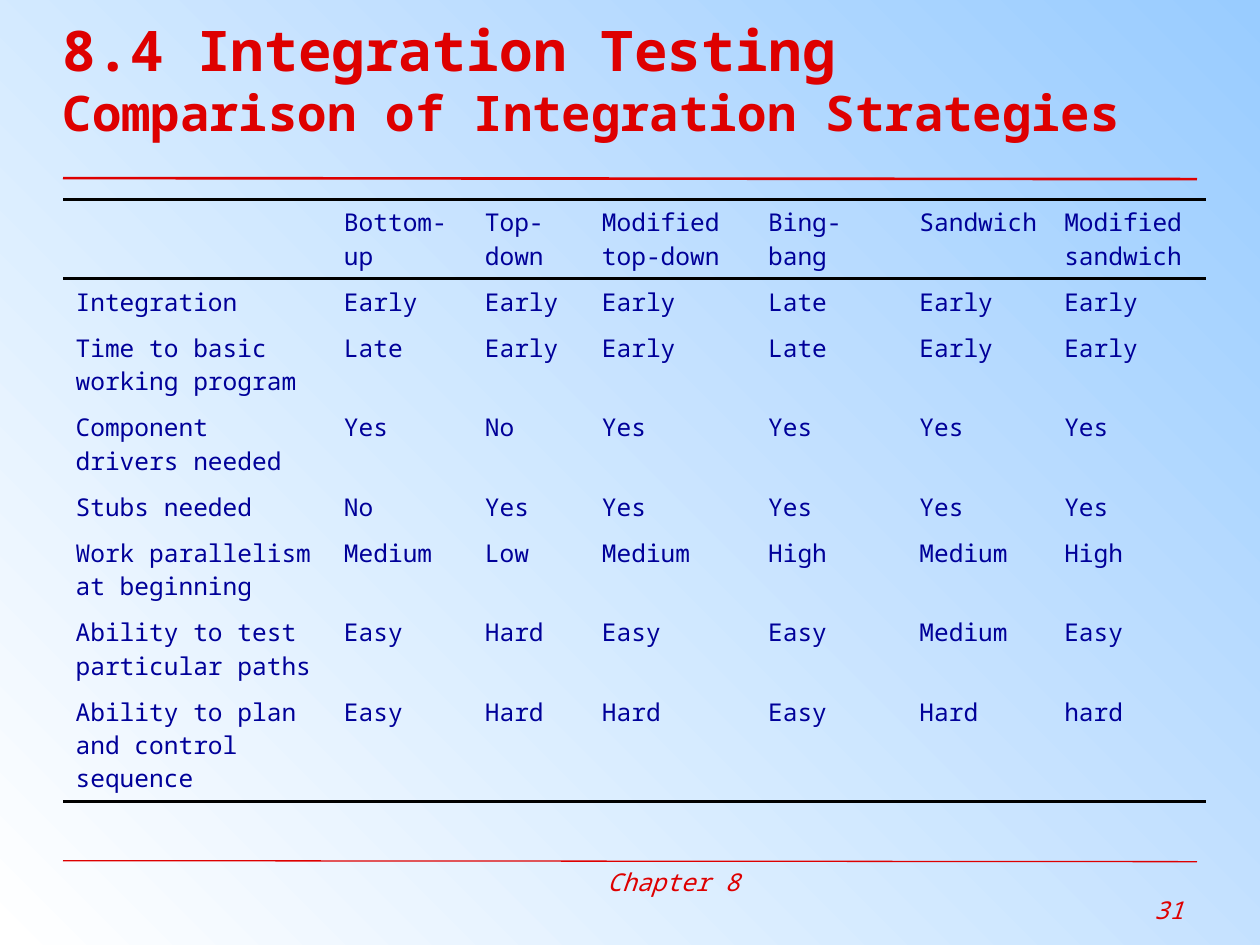
from lxml import etree
from pptx import Presentation
from pptx import util as u
from pptx.dml.color import RGBColor
from pptx.enum import shapes, text
from pptx.oxml import ns

COLORS = {"sky": "99CCFF", "white": "FFFFFF", "red": "DE0000",
          "navy": "000099", "black": "000000"}
FONT = "Noto Sans Mono"

ROWS = [
    ["", "Bottom-up", "Top-down", "Modified top-down", "Bing-bang", "Sandwich",
     "Modified sandwich"],
    ["Integration", "Early", "Early", "Early", "Late", "Early", "Early"],
    ["Time to basic working program", "Late", "Early", "Early", "Late", "Early", "Early"],
    ["Component drivers needed", "Yes", "No", "Yes", "Yes", "Yes", "Yes"],
    ["Stubs needed", "No", "Yes", "Yes", "Yes", "Yes", "Yes"],
    ["Work parallelism at beginning", "Medium", "Low", "Medium", "High", "Medium", "High"],
    ["Ability to test particular paths", "Easy", "Hard", "Easy", "Easy", "Medium", "Easy"],
    ["Ability to plan and control sequence", "Easy", "Hard", "Hard", "Easy", "Hard", "hard"],
]
COL_WIDTHS = [5.41, 2.84, 2.36, 3.35, 3.05, 2.92, 3.12]
# Row height by the number of text lines in the row
LINE_HEIGHTS = {1: 0.93, 2: 1.6, 3: 2.28}
ROW_LINES = [2, 1, 2, 2, 1, 2, 2, 3]


def rgb(name):
    return RGBColor.from_string(COLORS[name])


def add_run(p, words, color, **fmt):
    r = p.add_run()
    r.text = words
    r.font.color.rgb = rgb(color)
    for key, value in {"name": FONT, **fmt}.items():
        setattr(r.font, key, value)


def add_text_frame(s, box, margins, anchor):
    tf = s.shapes.add_textbox(*map(u.Cm, box)).text_frame
    tf.word_wrap = True
    tf.vertical_anchor = anchor
    for side, size in zip(("left", "top", "right", "bottom"), margins):
        setattr(tf, f"margin_{side}", u.Cm(size))
    return tf


def add_rule(s, x, y, width, weight):
    """Draw a red rule that falls very slightly to the right."""
    line = s.shapes.add_connector(shapes.MSO_CONNECTOR.STRAIGHT,
                                  u.Cm(x), u.Cm(y), u.Cm(x + width), u.Cm(y + 0.02))
    line.line.color.rgb = rgb("red")
    line.line.width = u.Pt(weight)
    etree.SubElement(line._element.spPr, ns.qn("a:effectLst"))


def set_background(s):
    fill = s.background.fill
    fill.gradient()
    fill.gradient_angle = 225
    for stop, name in zip(fill.gradient_stops, ("sky", "white")):
        stop.color.rgb = rgb(name)


def add_title(s, x, y, width, height):
    tf = add_text_frame(s, (x, y, width, height), (0, 0, 0, 0), text.MSO_ANCHOR.MIDDLE)
    p = tf.paragraphs[0]
    add_run(p, "8.4 Integration Testing", "red", size=u.Pt(32), bold=True)
    p.add_line_break()
    add_run(p, "Comparison of Integration Strategies", "red", size=u.Pt(28), bold=True)
    add_rule(s, x, y + 3.59, 22.86, 1.5)


def set_borders(cell, ruled):
    """Draw the ruled sides (T, B) and clear the others."""
    tcPr = cell._tc.get_or_add_tcPr()
    for side in "LRTB":
        ln = etree.SubElement(tcPr, ns.qn(f"a:ln{side}"), w=str(u.Pt(2.25)))
        if side in ruled:
            fill = etree.SubElement(ln, ns.qn("a:solidFill"))
            etree.SubElement(fill, ns.qn("a:srgbClr"), val=COLORS["black"])
        else:
            etree.SubElement(ln, ns.qn("a:noFill"))


def add_strategy_table(s, x, y):
    heights = [LINE_HEIGHTS[n] for n in ROW_LINES]
    box = (x, y, sum(COL_WIDTHS), sum(heights))
    table = s.shapes.add_table(len(ROWS), len(COL_WIDTHS), *map(u.Cm, box)).table
    table.first_row = table.horz_banding = False
    for col, width in zip(table.columns, COL_WIDTHS):
        col.width = u.Cm(width)
    ruled_sides = {0: "TB", 1: "T", len(ROWS) - 1: "B"}
    for i, (values, height) in enumerate(zip(ROWS, heights)):
        table.rows[i].height = u.Cm(height)
        for j, value in enumerate(values):
            cell = table.cell(i, j)
            set_borders(cell, ruled_sides.get(i, ""))
            cell.fill.background()
            if value:
                add_run(cell.text_frame.paragraphs[0], value, "navy", size=u.Pt(14))


def add_footer(s, x, y, width):
    add_rule(s, x, y, width, 0.75)
    tf = add_text_frame(s, (x + 10.52, y + 0.05, 12.32, 1.4),
                        (0.45, 0.13, 0.25, 0.13), text.MSO_ANCHOR.TOP)
    lines = [("Chapter 8", text.PP_ALIGN.LEFT), ("31", text.PP_ALIGN.RIGHT)]
    for i, (words, align) in enumerate(lines):
        p = tf.add_paragraph() if i else tf.paragraphs[0]
        p.alignment = align
        p.line_spacing = 0.95
        add_run(p, words, "red", size=u.Pt(14), italic=True)


def main():
    prs = Presentation()
    prs.slide_width, prs.slide_height = u.Cm(25.4), u.Cm(19.05)
    s = prs.slides.add_slide(prs.slide_layouts[6])
    set_background(s)
    # Heading and its rule
    add_title(s, 1.27, 0, 22.83, 3.15)
    # Comparison grid
    add_strategy_table(s, 1.27, 4.02)
    # Chapter and page number
    add_footer(s, 1.27, 17.35, 22.86)
    prs.save("out.pptx")


if __name__ == "__main__":
    main()
